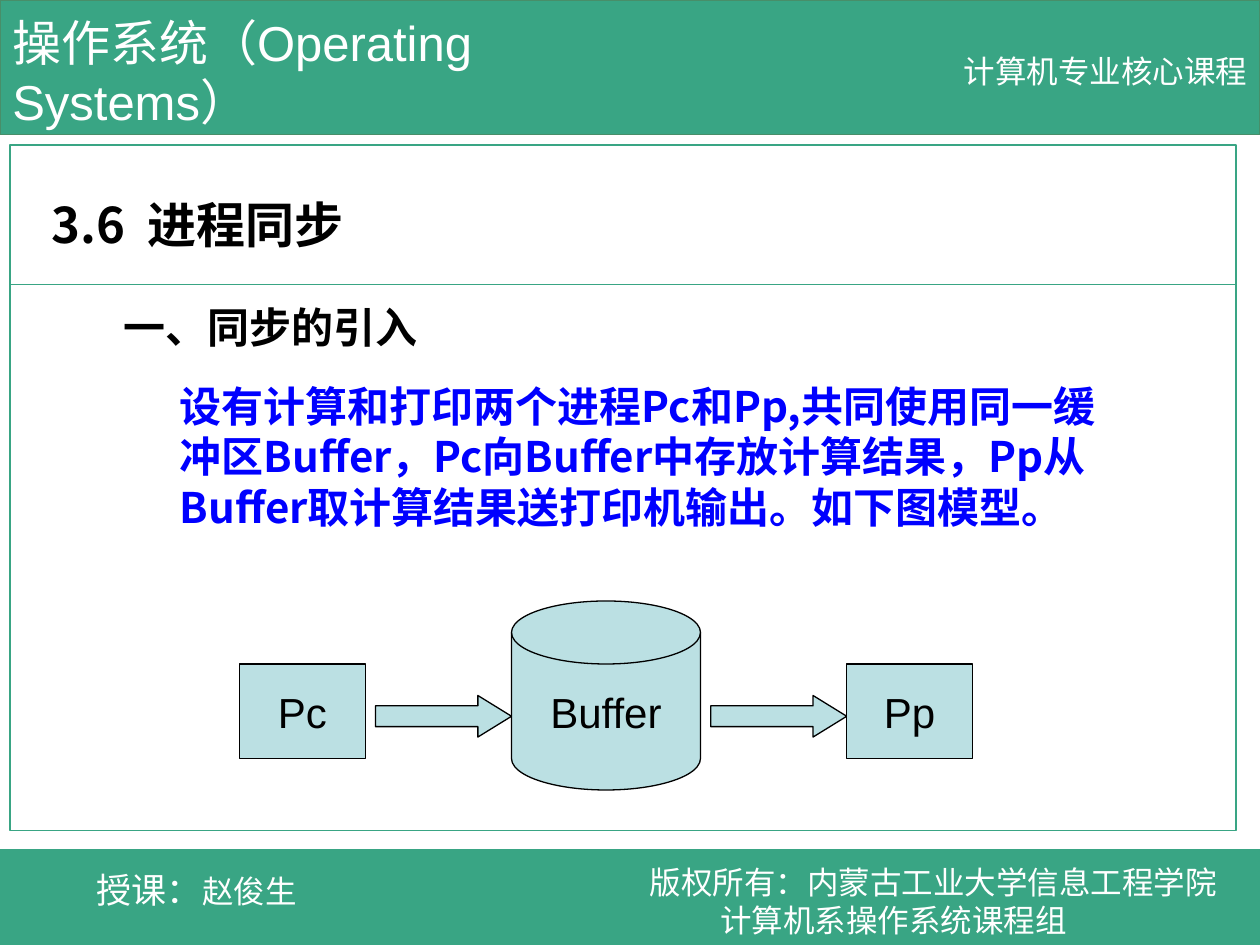
from pptx import Presentation
from pptx.dml.color import RGBColor
from pptx.enum.shapes import MSO_SHAPE as Shape
from pptx.enum.text import MSO_ANCHOR as Anchor, MSO_AUTO_SIZE as AutoSize, PP_ALIGN as Align
from pptx.util import Inches, Pt

WIDTH, HEIGHT = 10, 7.5
COLORS = {"green": "39A584", "edge": "488E69", "white": "FFFFFF",
          "black": "000000", "blue": "0000FF", "pale": "BBE0E3"}
LATIN, CJK = "Arial", "Noto Sans CJK SC"

# left, top, width, height, fill, line
PANEL_LEFT, PANEL_WIDTH = 0.08, 9.73
PANELS = [
    (0, 0, WIDTH, 1.07, "green", "edge"),
    (0, 6.74, WIDTH, 0.76, "green", "green"),
    (PANEL_LEFT, 1.15, PANEL_WIDTH, 1.18, "white", "green"),
    (PANEL_LEFT, 2.26, PANEL_WIDTH, 4.33, "white", "green"),
]

# Paragraphs are lists of (text, size, font) runs
TITLE = [[("3.6  ", 28, CJK), ("进程同步", 28, LATIN)]]
TITLE_BOX = (0.31, 1.49, 4.8, 0.57)

# box, paragraphs, colour, bold, wrap, anchor
TEXTS = [
    ((0, 0.05, 5.79, 1.04), [[("操作系统（Operating Systems）", 28, LATIN)]],
     "white", False, True, Anchor.MIDDLE),
    ((7.55, 0.36, 2.45, 0.4), [[("计算机专业核心课程", 18, LATIN)]],
     "white", False, False, Anchor.MIDDLE),
    ((0.67, 6.84, 1.78, 0.44), [[("授课：", 20, LATIN), ("赵俊生", 18, LATIN)]],
     "white", False, False, Anchor.MIDDLE),
    ((5.06, 6.8, 4.94, 0.7), [[("版权所有：内蒙古工业大学信息工程学院", 18, CJK)],
                              [("计算机系操作系统课程组", 18, CJK)]],
     "white", False, True, Anchor.MIDDLE),
    ((0.88, 2.34, 2.53, 0.5), [[("一、同步的引入", 24, LATIN)]],
     "black", True, False, Anchor.TOP),
    ((1.33, 2.97, 7.67, 1.7),
     [[("设有计算和打印两个进程Pc和Pp,共同使用同一缓冲区Buffer，Pc向Buffer中存放计算结果，"
        "Pp从Buffer取计算结果送打印机输出。如下图模型。", 24, CJK)]],
     "blue", True, True, Anchor.TOP),
]
SECOND_LINE_INDENT = 0.56

# kind, label, top, width, height, gap before
FLOW_LEFT = 1.9
FLOW = [
    (Shape.RECTANGLE, "Pc", 5.27, 1, 0.75, 0),
    (Shape.RIGHT_ARROW, "", 5.52, 1.08, 0.33, 0.08),
    (Shape.FLOWCHART_MAGNETIC_DISK, "Buffer", 4.77, 1.5, 1.5, 0),
    (Shape.RIGHT_ARROW, "", 5.52, 1.08, 0.33, 0.08),
    (Shape.RECTANGLE, "Pp", 5.27, 1, 0.75, 0),
]


def color(name):
    return RGBColor.from_string(COLORS[name])


def inches(box):
    return [Inches(value) for value in box]


def add_filled(slide, kind, box, fill, line):
    shape = slide.shapes.add_shape(kind, *inches(box))
    shape.shadow.inherit = False
    shape.fill.solid()
    shape.fill.fore_color.rgb = color(fill)
    shape.line.color.rgb = color(line)
    shape.line.width = Pt(0.75)
    return shape


def write(shape, paragraphs, ink, bold=False, wrap=True, anchor=Anchor.MIDDLE, align=Align.LEFT):
    frame = shape.text_frame
    frame.word_wrap = wrap
    frame.auto_size = AutoSize.NONE
    frame.vertical_anchor = anchor
    for index, runs in enumerate(paragraphs):
        paragraph = frame.add_paragraph() if index else frame.paragraphs[0]
        paragraph.alignment = align
        paragraph.font.bold = bold
        paragraph.font.color.rgb = color(ink)
        if index:
            paragraph._p.get_or_add_pPr().set("marL", str(Inches(SECOND_LINE_INDENT)))
        for text, size, font in runs:
            run = paragraph.add_run()
            run.text = text
            run.font.size = Pt(size)
            run.font.name = font


def main():
    presentation = Presentation()
    presentation.slide_width, presentation.slide_height = Inches(WIDTH), Inches(HEIGHT)
    slide = presentation.slides.add_slide(presentation.slide_layouts[5])

    for *box, fill, line in PANELS:
        add_filled(slide, Shape.RECTANGLE, box, fill, line)

    title = slide.shapes.title
    title.left, title.top, title.width, title.height = inches(TITLE_BOX)
    write(title, TITLE, "black", bold=True)
    slide.shapes._spTree.append(title._element)  # in front of the panels

    for box, paragraphs, *style in TEXTS:
        write(slide.shapes.add_textbox(*inches(box)), paragraphs, *style)

    left = FLOW_LEFT
    for kind, label, top, width, height, gap in FLOW:
        left += gap
        shape = add_filled(slide, kind, (left, top, width, height), "pale", "black")
        if label:
            write(shape, [[(label, 24, LATIN)]], "black", wrap=False, align=Align.CENTER)
        else:
            shape.adjustments[1] = 0.81
        left += width

    presentation.save("out.pptx")


if __name__ == "__main__":
    main()
